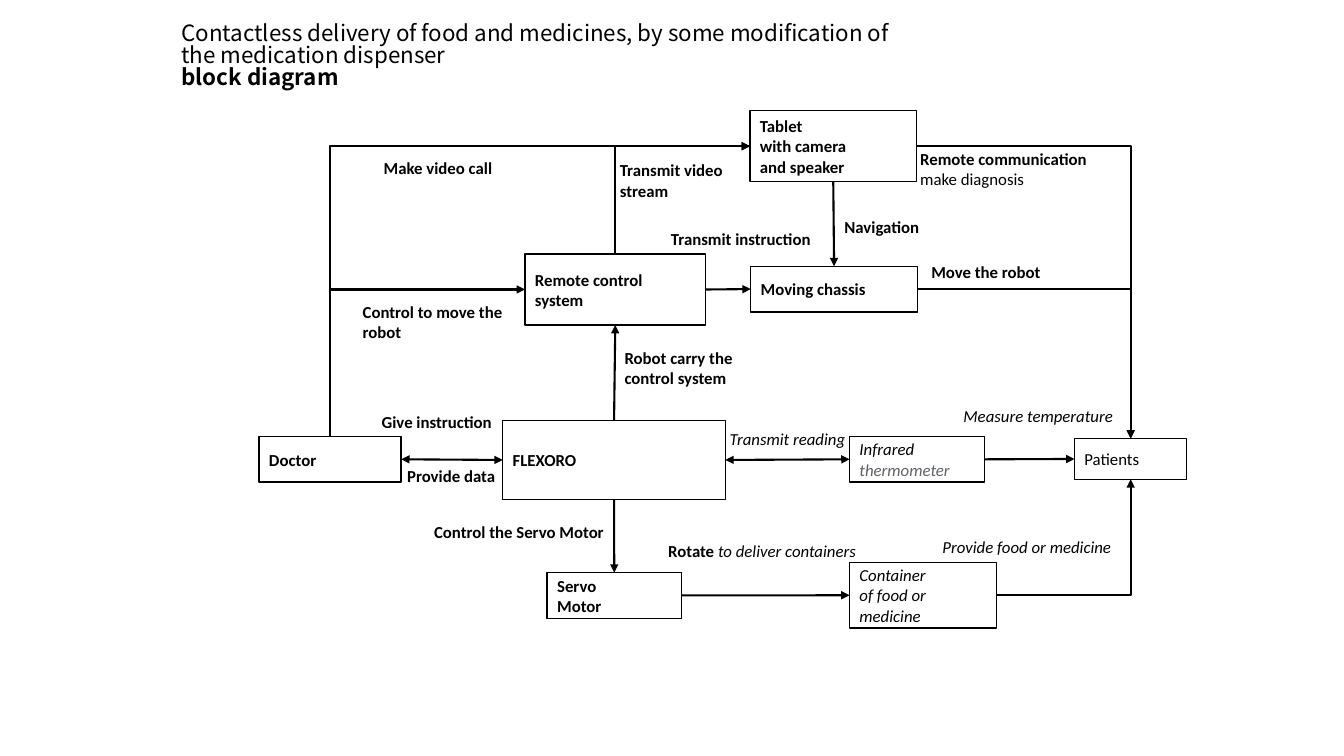
from lxml import etree
from pptx import Presentation, util as u
from pptx.dml.color import RGBColor
from pptx.enum import shapes, text
from pptx.oxml.ns import qn

COLORS = {"ink": "000000", "paper": "FFFFFF", "muted": "5F6266"}
TOP, LEFT, BOTTOM, RIGHT = range(4)
LINE_HEIGHT = 0.52


class BlockDiagram:
    def __init__(self, presentation):
        self.slide = presentation.slides.add_slide(presentation.slide_layouts[5])
        self.font = "Calibri"
        self.size = 12

    def color(self, name):
        return RGBColor.from_string(COLORS[name])

    def place(self, shape, left, top, width, height):
        shape.left, shape.top = u.Cm(left), u.Cm(top)
        shape.width, shape.height = u.Cm(width), u.Cm(height)

    def format_run(self, run, style="", color="ink", font=None, size=None):
        run.font.name = font or self.font
        run.font.size = u.Pt(size or self.size)
        run.font.bold = "b" in style
        run.font.italic = "i" in style
        run.font.color.rgb = self.color(color)

    def fill_text(self, frame, paragraphs):
        frame.word_wrap = True
        for index, runs in enumerate(paragraphs):
            paragraph = frame.add_paragraph() if index else frame.paragraphs[0]
            paragraph.alignment = text.PP_ALIGN.LEFT
            for content, *look in runs:
                run = paragraph.add_run()
                run.text = content
                self.format_run(run, *look)

    def title(self, lines, place, font, size):
        shape = self.slide.shapes.title
        self.place(shape, *place)
        frame = shape.text_frame
        frame.auto_size = text.MSO_AUTO_SIZE.NONE
        frame.vertical_anchor = text.MSO_ANCHOR.TOP
        self.fill_text(frame, [[(line, style, "ink", font, size)] for line, style in lines])
        for paragraph in frame.paragraphs:
            paragraph.line_spacing = 0.83

    def box(self, place, *paragraphs):
        shape = self.slide.shapes.add_shape(
            shapes.MSO_SHAPE.RECTANGLE, *[u.Cm(length) for length in place])
        shape.shadow.inherit = False
        shape.fill.solid()
        shape.fill.fore_color.rgb = self.color("paper")
        shape.line.color.rgb = self.color("ink")
        shape.line.width = u.Pt(1)
        shape.text_frame.vertical_anchor = text.MSO_ANCHOR.MIDDLE
        self.fill_text(shape.text_frame, paragraphs)
        return shape

    def label(self, left, top, width, lines, *paragraphs):
        height = 0.25 + LINE_HEIGHT * lines
        shape = self.slide.shapes.add_textbox(
            *[u.Cm(length) for length in (left, top, width, height)])
        self.fill_text(shape.text_frame, paragraphs)

    def side(self, shape, site):
        across = {LEFT: 0, RIGHT: 2}.get(site, 1)
        down = {TOP: 0, BOTTOM: 2}.get(site, 1)
        return (shape.left + shape.width * across // 2,
                shape.top + shape.height * down // 2)

    def line(self, kind, start, end, heads):
        connector = self.slide.shapes.add_connector(kind, *start, *end)
        connector.line.color.rgb = self.color("ink")
        connector.line.width = u.Pt(1.5)
        properties = connector._element.spPr
        outline = properties.find(qn("a:ln"))
        for head in heads:
            etree.SubElement(outline, qn(f"a:{head}"), type="triangle")
        etree.SubElement(properties, qn("a:effectLst"))
        return connector

    def arrow(self, source, source_site, target, target_site, heads=("tailEnd",)):
        connector = self.line(
            shapes.MSO_CONNECTOR.STRAIGHT, self.side(source, source_site),
            self.side(target, target_site), heads)
        connector.begin_connect(source, source_site)
        connector.end_connect(target, target_site)

    def corner_arrow(self, source, source_site, target, target_site):
        start, end = self.side(source, source_site), self.side(target, target_site)
        rises_first = source_site == TOP
        if rises_first:
            middle = [(a + b) // 2 for a, b in zip(start, end)]
            half = [abs(start[1] - end[1]) // 2, abs(start[0] - end[0]) // 2]
            start = [m + h for m, h in zip(middle, half)]
            end = [m - h for m, h in zip(middle, half)]
        connector = self.line(shapes.MSO_CONNECTOR.ELBOW, start, end, ("tailEnd",))
        properties = connector._element.spPr
        properties.find(qn("a:prstGeom")).set("prst", "bentConnector2")
        if rises_first:
            properties.find(qn("a:xfrm")).set("rot", "5400000")


def main():
    presentation = Presentation()
    presentation.slide_width, presentation.slide_height = u.Cm(33.87), u.Cm(19.05)
    diagram = BlockDiagram(presentation)
    diagram.title(
        [("Contactless delivery of food and medicines, by some modification of "
          "the medication dispenser", ""), ("block diagram", "b")],
        (4.32, 0.46, 18.36, 2.31), "Noto Sans CJK SC", 16)

    robot = diagram.box((12.67, 10.59, 5.61, 2), [("FLEXORO", "b")])
    tablet = diagram.box((18.9, 2.79, 4.2, 1.79), [("Tablet", "b")],
                         [("with camera", "b")], [("and speaker", "b")])
    doctor = diagram.box((6.53, 11, 3.58, 1.15), [("Doctor", "b")])
    container = diagram.box((21.41, 14.17, 3.7, 1.66), [("Container", "i")],
                            [("of food or medicine", "i")])
    thermometer = diagram.box((21.41, 11, 3.4, 1.15),
                              [("Infrared ", "i"), ("thermometer", "i", "muted")])
    patients = diagram.box((27.08, 11.05, 2.83, 1.03), [("Patients",)])
    chassis = diagram.box((18.92, 6.71, 4.2, 1.15), [("Moving chassis", "b")])
    remote = diagram.box((13.23, 6.4, 4.55, 1.79), [("Remote control", "b")],
                         [("system", "b")])
    motor = diagram.box((13.79, 14.43, 3.38, 1.15), [("Servo", "b")], [("Motor", "b")])

    both = ("headEnd", "tailEnd")
    diagram.arrow(robot, TOP, remote, BOTTOM)
    diagram.arrow(remote, RIGHT, chassis, LEFT)
    diagram.arrow(motor, RIGHT, container, LEFT)
    diagram.arrow(tablet, BOTTOM, chassis, TOP)
    diagram.arrow(doctor, RIGHT, robot, LEFT, both)
    diagram.arrow(robot, BOTTOM, motor, TOP)
    diagram.arrow(thermometer, RIGHT, patients, LEFT)
    diagram.arrow(robot, RIGHT, thermometer, LEFT, both)

    for source, target in ((remote, tablet), (doctor, tablet), (doctor, remote)):
        diagram.corner_arrow(source, TOP, target, LEFT)
    for source, site in ((tablet, TOP), (chassis, TOP), (container, BOTTOM)):
        diagram.corner_arrow(source, RIGHT, patients, site)

    for left, top, width, lines, content, style in (
        (10.69, 13.03, 5.08, 1, "Control the Servo Motor", "b"),
        (15.37, 3.91, 3.81, 2, "Transmit video stream", "b"),
        (8.89, 7.47, 4.6, 2, "Control to move the robot", "b"),
        (9.37, 10.24, 4.06, 1, "Give instruction", "b"),
        (10.01, 11.61, 4.14, 1, "Provide data", "b"),
        (9.42, 3.86, 3.81, 1, "Make video call", "b"),
        (21.03, 5.33, 3.81, 1, "Navigation", "b"),
        (23.5, 13.39, 6.6, 1, "Provide food or medicine", "i"),
        (24.03, 10.11, 4.98, 1, "Measure temperature", "i"),
        (18.14, 10.67, 4.72, 1, "Transmit reading", "i"),
        (23.22, 6.48, 6.17, 1, "Move the robot", "b"),
        (16.66, 5.64, 4.24, 1, "Transmit instruction", "b"),
        (15.49, 8.64, 3.81, 2, "Robot carry the control system", "b"),
    ):
        diagram.label(left, top, width, lines, [(content, style)])
    diagram.label(16.59, 13.51, 5.46, 1,
                  [("Rotate ", "b"), ("to deliver containers", "i")])
    diagram.label(22.94, 3.63, 6.55, 2,
                  [("Remote communication", "b")], [("make diagnosis",)])

    presentation.save("out.pptx")


if __name__ == "__main__":
    main()
